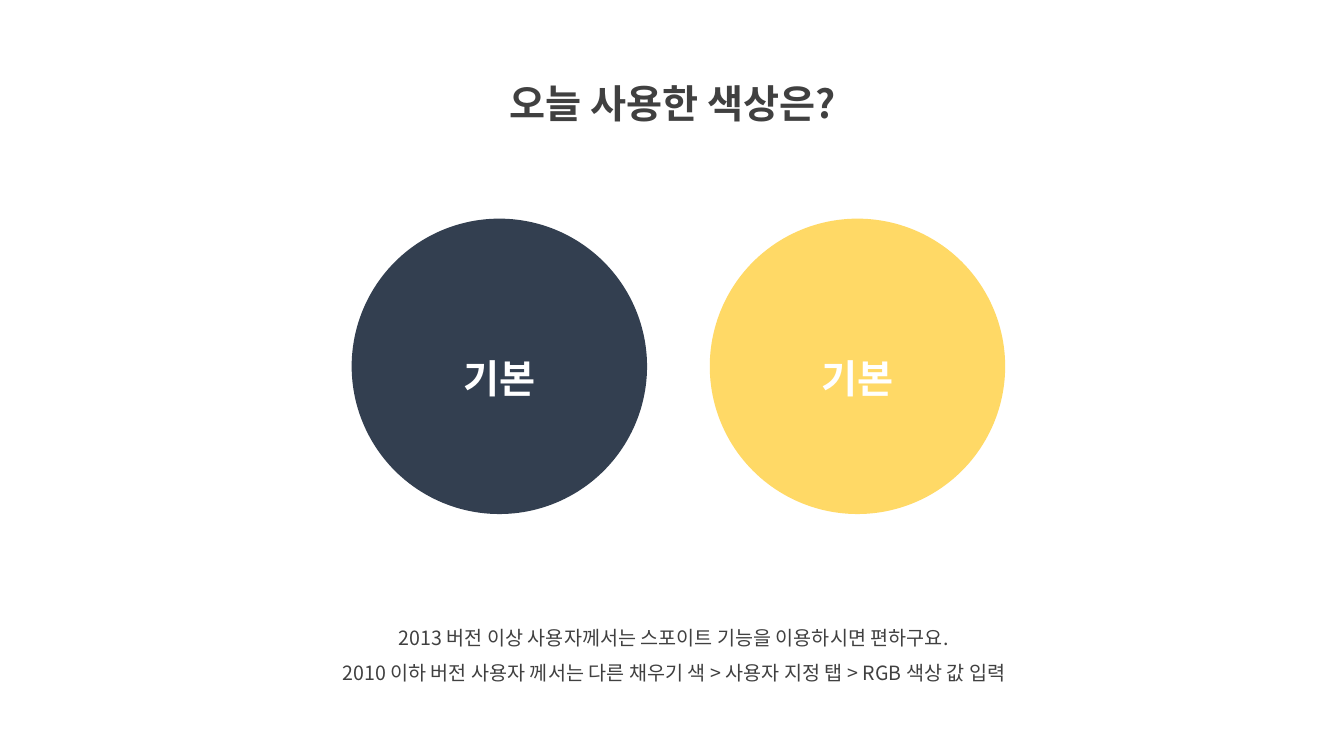
"""Build the slide that shows the two colours used in the deck."""
from lxml.etree import SubElement
from pptx import Presentation
from pptx.dml.color import RGBColor
from pptx.enum.shapes import MSO_SHAPE as Shape
from pptx.enum.text import MSO_ANCHOR as Anchor, PP_ALIGN as Align
from pptx.oxml.ns import qn
from pptx.util import Pt

FONT = "Noto Sans CJK KR"
GRAY = RGBColor(0x40, 0x40, 0x40)
WHITE = RGBColor(0xFF, 0xFF, 0xFF)
NAVY = RGBColor(0x33, 0x3F, 0x50)
YELLOW = RGBColor(0xFF, 0xD9, 0x66)


def write_lines(frame, lines, size, color, bold=False):
    """Fill a text frame with centred lines."""
    frame.word_wrap = True
    for index, line in enumerate(lines):
        para = frame.add_paragraph() if index else frame.paragraphs[0]
        para.alignment = Align.CENTER
        para.line_spacing = 1.5
        span = para.add_run()
        span.text = line
        span.font.size = Pt(size)
        span.font.bold = bold
        span.font.color.rgb = color
        span.font.name = FONT
        SubElement(span.font._element, qn("a:ea"), typeface=FONT)


deck = Presentation()
deck.slide_width, deck.slide_height = Pt(960), Pt(540)
page = deck.slides.add_slide(deck.slide_layouts[6])

title = page.shapes.add_textbox(Pt(313.9), Pt(36), Pt(333.4), Pt(51.8))
write_lines(title.text_frame, ["오늘 사용한 색상은?"], 28, GRAY, bold=True)

guide = page.shapes.add_textbox(Pt(193.7), Pt(434.9), Pt(575.3), Pt(58.3))
write_lines(guide.text_frame, [
    "2013 버전 이상 사용자께서는 스포이트 기능을 이용하시면 편하구요.",
    "2010 이하 버전 사용자 께서는 다른 채우기 색 > 사용자 지정 탭 > RGB 색상 값 입력",
], 14, GRAY)

for column, color in enumerate([NAVY, YELLOW]):
    circle = page.shapes.add_shape(
        Shape.OVAL, Pt(251.2 + column * 255.8), Pt(156.2), Pt(211), Pt(211))
    circle.shadow.inherit = False
    circle.fill.solid()
    circle.fill.fore_color.rgb = color
    circle.line.fill.background()
    circle.text_frame.vertical_anchor = Anchor.MIDDLE
    write_lines(circle.text_frame, ["기본"], 28, WHITE, bold=True)

deck.save("out.pptx")
